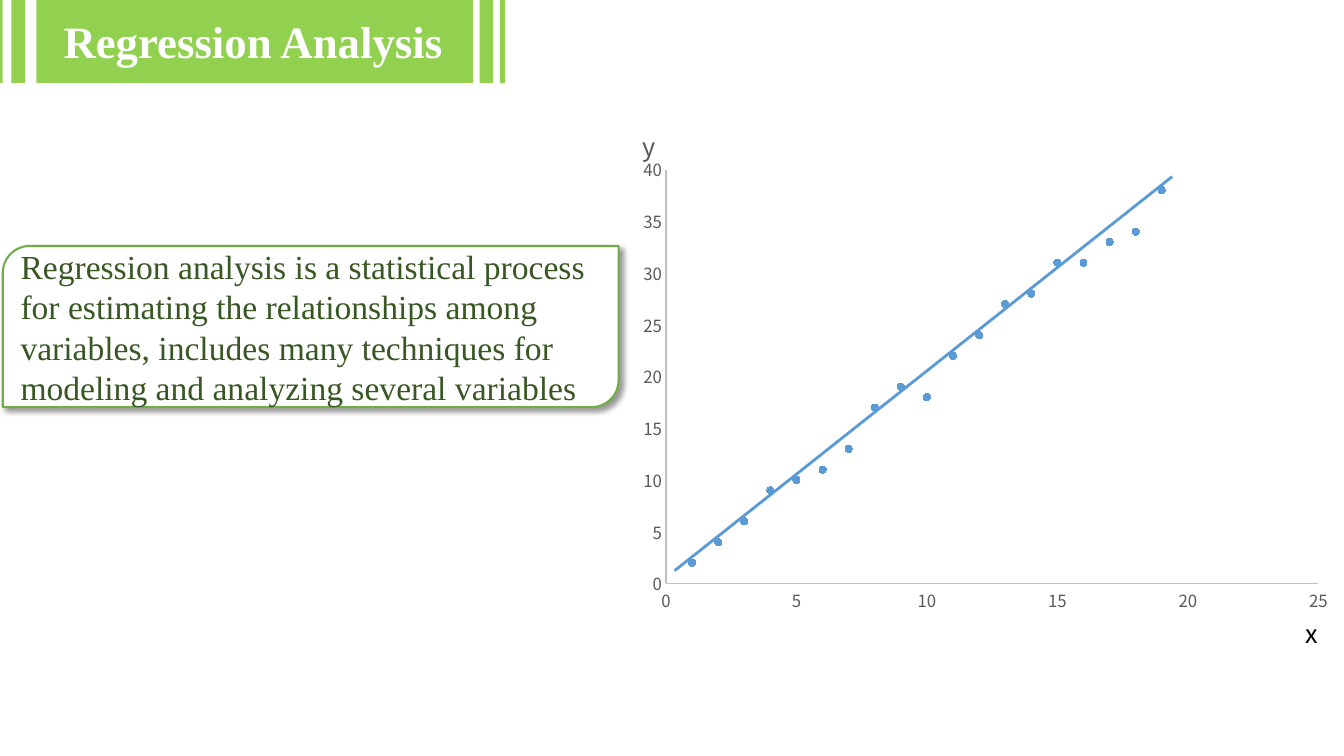
from lxml import etree
from pptx import Presentation
from pptx import util as u
from pptx.chart.data import XyChartData
from pptx.dml.color import RGBColor
from pptx.enum import chart as ch, shapes, text
from pptx.oxml import parse_xml
from pptx.oxml.ns import nsdecls, qn

COLORS = {key: RGBColor.from_string(value) for key, value in {
    "banner": "92D050", "white": "FFFFFF", "border": "70AD47",
    "definition": "385723", "data": "5B9BD5", "axis": "BFBFBF",
    "label": "595959", "black": "000000"}.items()}
SERIF, SANS = "Times New Roman", "Noto Sans CJK SC"


def style_font(font, name, size, color):
    font.name, font.size = name, u.Pt(size)
    font.color.rgb = COLORS[color]


def place_in_chart(parent, index, **values):
    """Give a chart part a manual layout, in fractions of the chart."""
    for automatic in parent.findall(qn("c:layout")):
        parent.remove(automatic)
    layout = parse_xml(f'<c:layout {nsdecls("c")}><c:manualLayout/></c:layout>')
    for tag, value in values.items():
        etree.SubElement(layout[0], qn(f"c:{tag}")).set("val", str(value))
    parent.insert(index, layout)


prs = Presentation()
prs.slide_width, prs.slide_height = u.Cm(33.87), u.Cm(19.05)
slide = prs.slides.add_slide(prs.slide_layouts[5])

# Title on its striped banner
title = slide.shapes.title
title.left, title.top, title.width, title.height = map(u.Cm, (1.3, 0.2, 10.16, 1.63))
title.text_frame.text = "Regression Analysis"
title.text_frame.word_wrap = False
title.text_frame.auto_size = text.MSO_AUTO_SIZE.NONE
title.text_frame.vertical_anchor = text.MSO_ANCHOR.MIDDLE
heading = title.text_frame.paragraphs[0]
heading.alignment = text.PP_ALIGN.CENTER
heading.font.bold = True
style_font(heading.font, SERIF, 32, "white")

for left, width in ((-0.07, 0.14), (0.29, 0.34), (0.92, 11), (12.09, 0.34), (12.6, 0.13)):
    stripe = slide.shapes.add_shape(
        shapes.MSO_SHAPE.RECTANGLE, u.Cm(left), 0, u.Cm(width), u.Cm(2.09))
    stripe.shadow.inherit = False
    stripe.fill.solid()
    stripe.fill.fore_color.rgb = COLORS["banner"]
    stripe.line.fill.background()
    title.element.addprevious(stripe.element)

# Definition
definition = slide.shapes.add_shape(
    shapes.MSO_SHAPE.ROUND_2_DIAG_RECTANGLE, u.Cm(0.07), u.Cm(6.2), u.Cm(15.52), u.Cm(4.06))
definition.fill.solid()
definition.fill.fore_color.rgb = COLORS["white"]
definition.line.color.rgb = COLORS["border"]
definition.line.width = u.Pt(1.5)
definition.shadow.inherit = False
effects = definition.element.spPr.find(qn("a:effectLst"))
effects.append(parse_xml(
    f'<a:outerShdw {nsdecls("a")} blurRad="50800" dist="38100" dir="2700000" algn="tl">'
    '<a:srgbClr val="000000"><a:alpha val="40000"/></a:srgbClr></a:outerShdw>'))
definition.text_frame.word_wrap = True
definition.text_frame.vertical_anchor = text.MSO_ANCHOR.MIDDLE
sentence = definition.text_frame.paragraphs[0]
sentence.text = ("Regression analysis is a statistical process for estimating the "
                 "relationships among variables, includes many techniques for "
                 "modeling and analyzing several variables")
sentence.alignment = text.PP_ALIGN.LEFT
style_font(sentence.font, SERIF, 24, "definition")

# Scatter chart
observations = XyChartData()
points = observations.add_series("Series 1")
for x, y in enumerate((2, 4, 6, 9, 10, 11, 13, 17, 19, 18,
                       22, 24, 27, 28, 31, 31, 33, 34, 38), start=1):
    points.add_data_point(x, y)
chart = slide.shapes.add_chart(
    ch.XL_CHART_TYPE.XY_SCATTER, u.Cm(15.9), u.Cm(2.89), u.Cm(17.68), u.Cm(12.57),
    observations).chart
style_font(chart.font, SANS, 10, "black")
chart.has_legend = False
chart.plots[0].vary_by_categories = False

chart.has_title = True
y_name = chart.chart_title.text_frame.paragraphs[0]
y_name.text = "y"
y_name.font.bold = False
style_font(y_name.font, SANS, 18, "label")
chart.chart_title.include_in_layout = False
place_in_chart(chart.chart_title.element, 1, xMode="edge", yMode="edge", x=0.01, y=0.01)
plot_area = chart.element.find(f'.//{qn("c:plotArea")}')
place_in_chart(plot_area, 0, layoutTarget="inner", xMode="edge", yMode="edge",
               x=0.05, y=0.11, w=0.93, h=0.83)

for axis, maximum in ((chart.category_axis, 25), (chart.value_axis, 40)):
    axis.minimum_scale, axis.maximum_scale, axis.major_unit = 0, maximum, 5
    axis.major_tick_mark = axis.minor_tick_mark = ch.XL_TICK_MARK.NONE
    axis.has_major_gridlines = True
    for line, color in ((axis.format.line, "axis"),
                        (axis.major_gridlines.format.line, "white")):
        line.color.rgb = COLORS[color]
        line.width = u.Pt(0.75)
    axis.tick_labels.number_format = "General"
    axis.tick_labels.number_format_is_linked = False
    style_font(axis.tick_labels.font, SANS, 12, "label")

series = chart.plots[0].series[0]
series.format.line.fill.background()
series.marker.style = ch.XL_MARKER_STYLE.CIRCLE
series.marker.size = 5
series.marker.format.fill.solid()
series.marker.format.fill.fore_color.rgb = COLORS["data"]
series.marker.format.line.color.rgb = COLORS["data"]

# Name of the x axis and the fitted line
x_label = slide.shapes.add_textbox(u.Cm(32.64), u.Cm(15.46), u.Cm(1.9), u.Cm(1.02))
x_label.text_frame.word_wrap = True
x_name = x_label.text_frame.paragraphs[0]
x_name.text = "x"
style_font(x_name.font, SANS, 18, "black")

fit = slide.shapes.add_connector(
    shapes.MSO_CONNECTOR.STRAIGHT, u.Cm(17), u.Cm(14.38), u.Cm(29.54), u.Cm(4.45))
fit.line.color.rgb = COLORS["data"]
fit.line.width = u.Pt(2)
etree.SubElement(fit.element.spPr, qn("a:effectLst"))

prs.save("out.pptx")
